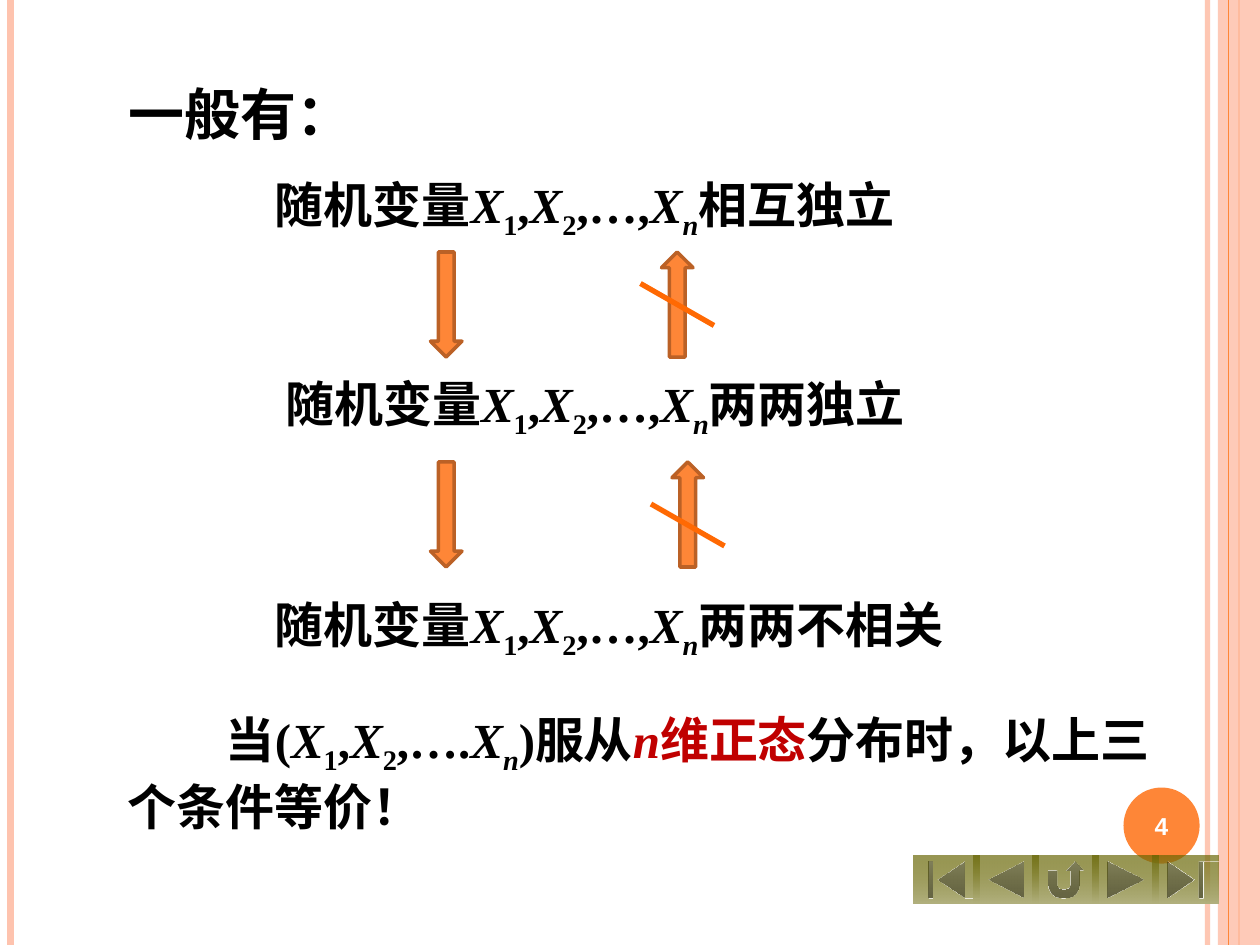
from lxml import etree
from pptx import Presentation
from pptx import util as u
from pptx.dml.color import RGBColor
from pptx.enum import shapes, text
from pptx.oxml import parse_xml
from pptx.oxml.ns import nsdecls, qn

ORANGE = RGBColor(0xFE, 0x86, 0x37)
ORANGE_EDGE = RGBColor(0xBB, 0x61, 0x26)
STRIKE = RGBColor(0xFF, 0x69, 0x03)
PEACH = RGBColor(0xFE, 0xC3, 0xAE)
OLIVE = RGBColor(0x66, 0x64, 0x00)
SAGE = RGBColor(0xB1, 0xB0, 0x7D)
RED = RGBColor(0xC0, 0x00, 0x00)
BLACK = RGBColor(0, 0, 0)
WHITE = RGBColor(0xFF, 0xFF, 0xFF)
CJK = "Noto Sans CJK SC"
SERIF = "Times New Roman"
CELL = u.Inches(1) / 12
MSO = shapes.MSO_SHAPE


def grid(*cells):
    """Turn grid columns and rows, twelve to the inch, into lengths."""
    return [u.Emu(round(c * CELL)) for c in cells]


def set_alpha(element, percent):
    """Set the opacity of the first colour inside an element."""
    color = element.find(".//" + qn("a:srgbClr"))
    etree.SubElement(color, qn("a:alpha")).set("val", str(percent * 1000))


def add_line(s, ends, color, width, opacity=100):
    """Draw a straight line between two grid points."""
    line = s.shapes.add_connector(shapes.MSO_CONNECTOR.STRAIGHT, *grid(*ends))
    line.line.color.rgb = color
    line.line.width = u.Pt(width)
    if opacity < 100:
        set_alpha(line.line._get_or_add_ln(), opacity)
    etree.SubElement(line._element.spPr, qn("a:effectLst"))


def add_shape(s, kind, box, fill=None, edge=None):
    """Add a flat preset shape in a grid box."""
    sp = s.shapes.add_shape(kind, *grid(*box))
    sp.shadow.inherit = False
    if fill is not None:
        sp.fill.solid()
        sp.fill.fore_color.rgb = fill
    if edge is None:
        sp.line.fill.background()
    else:
        sp.line.color.rgb = edge
        sp.line.width = u.Pt(2)
    return sp


def format_paragraph(p, size, font, color=BLACK):
    """Give a paragraph its bold Latin and East Asian fonts."""
    p.font.size = u.Pt(size)
    p.font.bold = True
    p.font.color.rgb = color
    p.font.name = font
    props = p._p.get_or_add_pPr().find(qn("a:defRPr"))
    etree.SubElement(props, qn("a:ea")).set("typeface", CJK)


def add_text(s, box):
    """Add a wrapping text box and return its first paragraph."""
    tf = s.shapes.add_textbox(*grid(*box)).text_frame
    tf.word_wrap = True
    return tf.paragraphs[0]


def add_run(p, words, italic=False, subscript=False, color=None):
    """Append one run with its own slant, baseline and colour."""
    r = p.add_run()
    r.text = words
    if italic:
        r.font.italic = True
    if subscript:
        r._r.get_or_add_rPr().set("baseline", "-25000")
    if color is not None:
        r.font.color.rgb = color


def add_variables(p, dots):
    """Append X1, X2 up to Xn with the given dots before the last one."""
    for index, separator in (("1", ","), ("2", dots), ("n", "")):
        add_run(p, "X", italic=True)
        add_run(p, index, italic=index == "n", subscript=True)
        if separator:
            add_run(p, separator)


def draw_frame(s, width, height):
    """Draw the border stripes at both sides of the slide."""
    right = width - 4
    for x, color, weight, opacity in ((115, PEACH, 3, 93), (1, PEACH, 4.5, 100),
                                      (118, ORANGE, 1.5, 100)):
        add_line(s, (x, 0, x, height), color, weight, opacity)
    band = add_shape(s, MSO.RECTANGLE, (right, 0, 4, height), PEACH)
    set_alpha(band._element.spPr, 87)
    add_line(s, (right + 1, 0, right + 1, height), ORANGE, 0.75)


def draw_page_number(s, left, top, size):
    """Draw the numbered disc."""
    sp = add_shape(s, MSO.OVAL, (left, top, size, size), ORANGE)
    tf = sp.text_frame
    tf.vertical_anchor = text.MSO_ANCHOR.MIDDLE
    p = tf.paragraphs[0]
    p.alignment = text.PP_ALIGN.CENTER
    add_run(p, "4")
    format_paragraph(p, 14, "Arial", WHITE)


def draw_navigation(s, left, top, width, height):
    """Draw the row of overlapping action buttons."""
    kinds = (MSO.ACTION_BUTTON_BEGINNING, MSO.ACTION_BUTTON_BACK_OR_PREVIOUS,
             MSO.ACTION_BUTTON_RETURN, MSO.ACTION_BUTTON_FORWARD_OR_NEXT,
             MSO.ACTION_BUTTON_END)
    button = 6.25
    step = (width - button) / (len(kinds) - 1)
    for i, kind in enumerate(kinds):
        sp = add_shape(s, kind, (left + i * step, top, button, height))
        gradient = parse_xml(
            f'<a:gradFill {nsdecls("a")}><a:gsLst>'
            f'<a:gs pos="0"><a:srgbClr val="{OLIVE}"><a:alpha val="67000"/></a:srgbClr></a:gs>'
            f'<a:gs pos="100000"><a:srgbClr val="{SAGE}"/></a:gs>'
            '</a:gsLst><a:lin ang="5400000" scaled="0"/></a:gradFill>')
        sp._element.spPr.find(qn("a:prstGeom")).addnext(gradient)


def draw_title(s, box):
    """Place the heading in the title placeholder."""
    title = s.shapes.title
    title.left, title.top, title.width, title.height = grid(*box)
    tf = title.text_frame
    tf.text = "一般有："
    tf.word_wrap = True
    tf.auto_size = text.MSO_AUTO_SIZE.NONE
    tf.vertical_anchor = text.MSO_ANCHOR.TOP
    p = tf.paragraphs[0]
    p.alignment = text.PP_ALIGN.LEFT
    format_paragraph(p, 32, CJK)


def draw_implications(s, left, top):
    """Draw three statements joined by valid and struck-out arrows."""
    statements = ((0, 0, "相互独立"), (1, 19, "两两独立"), (0, 40, "两两不相关"))
    for dx, dy, ending in statements:
        p = add_text(s, (left + dx, top + dy, 76, 7.5))
        add_run(p, "随机变量")
        add_variables(p, ",…,")
        add_run(p, ending)
        format_paragraph(p, 28, SERIF)
    for dx, dy, strike in ((0, 8, 3), (1, 28, 4)):
        x, y = left + 38 + dx, top + dy
        add_shape(s, MSO.DOWN_ARROW, (left + 16, y, 3, 10), ORANGE, ORANGE_EDGE)
        add_shape(s, MSO.UP_ARROW, (x, y, 3, 10), ORANGE, ORANGE_EDGE)
        add_line(s, (x - 2, y + strike, x + 5, y + strike + 4), STRIKE, 3)


def draw_conclusion(s, box):
    """Write the closing remark with a two-character first-line indent."""
    p = add_text(s, box)
    p._p.get_or_add_pPr().set("indent", str(u.Pt(56)))
    add_run(p, "当(")
    add_variables(p, ",….")
    add_run(p, ")服从")
    add_run(p, "n", italic=True, color=RED)
    add_run(p, "维正态", color=RED)
    add_run(p, "分布时，以上三个条件等价！")
    format_paragraph(p, 28, SERIF)


def main():
    """Build and save the slide."""
    prs = Presentation()
    prs.slide_width, prs.slide_height = u.Inches(10), u.Inches(7.5)
    s = prs.slides.add_slide(prs.slide_layouts[5])
    draw_frame(s, 120, 90)
    draw_page_number(s, 107, 75, 7.25)
    draw_navigation(s, 87, 81.5, 29, 4.5)
    draw_title(s, (11, 7, 30, 7.7))
    draw_implications(s, 25, 16)
    draw_conclusion(s, (11, 67, 103, 13.2))
    prs.save("out.pptx")


if __name__ == "__main__":
    main()
